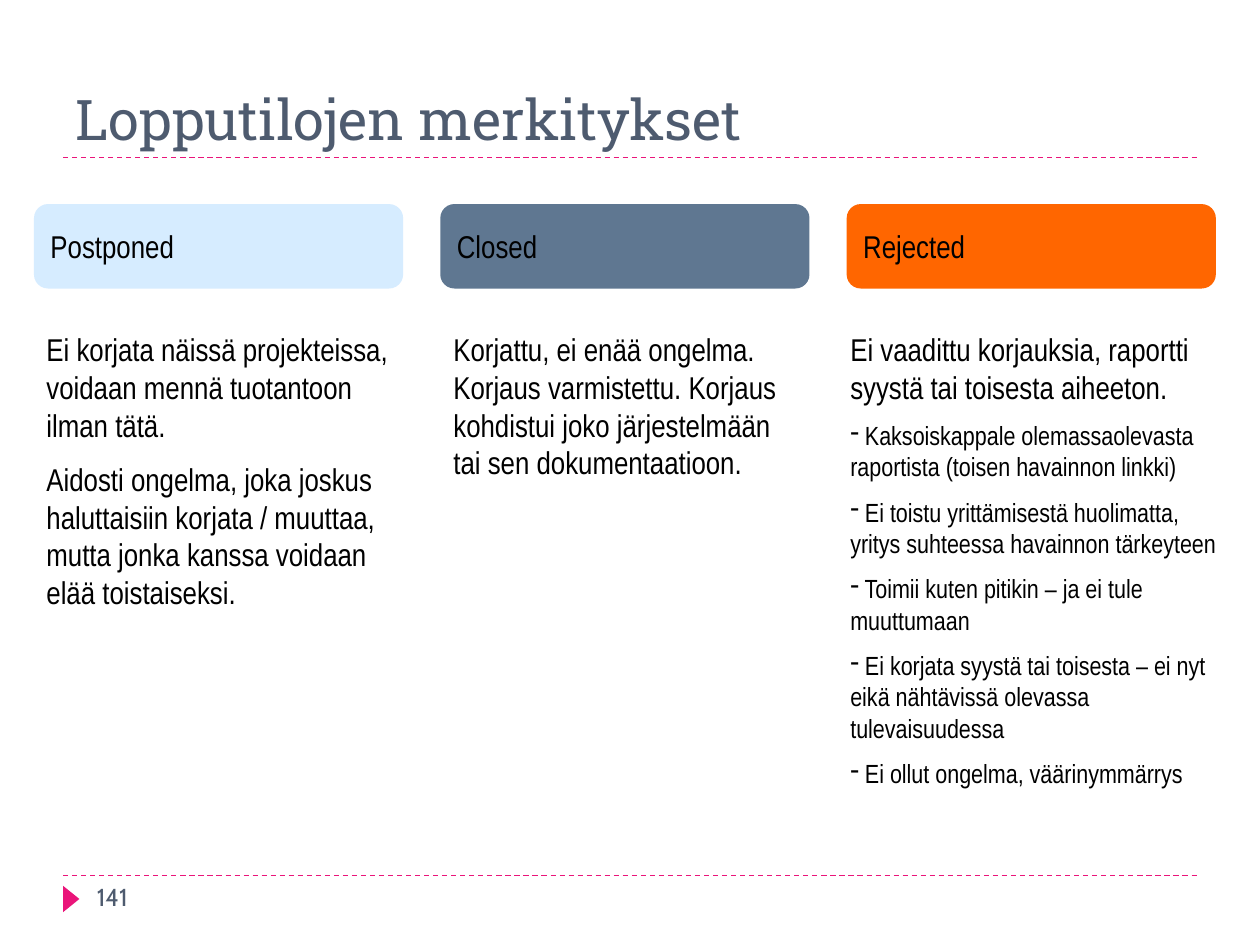
from lxml.etree import SubElement
from pptx import Presentation
from pptx.dml.color import RGBColor
from pptx.enum.dml import MSO_LINE
from pptx.enum.shapes import MSO_CONNECTOR, MSO_SHAPE
from pptx.enum.text import MSO_ANCHOR, PP_ALIGN
from pptx.oxml.ns import qn
from pptx.util import Inches, Pt

PINK = RGBColor(0xEA, 0x15, 0x7A)
SLATE = RGBColor(0x4E, 0x5B, 0x6F)
BLACK = RGBColor(0, 0, 0)
PALE_BLUE = RGBColor(0xD6, 0xEC, 0xFF)
STEEL = RGBColor(0x5F, 0x77, 0x91)
ORANGE = RGBColor(0xFF, 0x66, 0x00)

TITLE = {"name": "Roboto Slab", "size": Pt(32)}
NUMBER = {"name": "Cabin", "size": Pt(14)}
BODY = {"name": "Arial Narrow", "size": Pt(18)}
ITEM = {"name": "Arial Narrow", "size": Pt(15)}

LEFT, PITCH = 0.27, 3.225
STATES = [
    ("Postponed", PALE_BLUE, (LEFT, 2.91, 2.35), [
        "Ei korjata näissä projekteissa, voidaan mennä tuotantoon ilman tätä.",
        "Aidosti ongelma, joka joskus haluttaisiin korjata / muuttaa, "
        "mutta jonka kanssa voidaan elää toistaiseksi."], []),
    ("Closed", STEEL, (3.5, 2.91, 1.3), [
        "Korjattu, ei enää ongelma. Korjaus varmistettu. Korjaus kohdistui "
        "joko järjestelmään tai sen dokumentaatioon."], []),
    ("Rejected", ORANGE, (6.65, 3.15, 3.83), [
        "Ei vaadittu korjauksia, raportti syystä tai toisesta aiheeton."], [
        " Kaksoiskappale olemassaolevasta raportista (toisen havainnon linkki)",
        " Ei toistu yrittämisestä huolimatta, yritys suhteessa havainnon tärkeyteen",
        " Toimii kuten pitikin – ja ei tule muuttumaan",
        " Ei korjata syystä tai toisesta – ei nyt eikä nähtävissä olevassa tulevaisuudessa",
        " Ei ollut ongelma, väärinymmärrys"]),
]


def add_run(p, text, style, color):
    """Append a run with the given font values."""
    r = p.add_run()
    r.text = text
    for key, value in style.items():
        setattr(r.font, key, value)
    r.font.color.rgb = color


def add_text(s, box, paragraphs, color=BLACK, anchor=MSO_ANCHOR.TOP):
    """Add a text box from (text, style, bullet) paragraphs."""
    tf = s.shapes.add_textbox(*map(Inches, box)).text_frame
    tf.word_wrap = True
    tf.vertical_anchor = anchor
    for i, (text, style, bullet) in enumerate(paragraphs):
        p = tf.add_paragraph() if i else tf.paragraphs[0]
        if bullet:
            SubElement(p._p.get_or_add_pPr(), qn("a:buChar"), char=bullet)
        if i:
            p.space_before = Pt(style["size"].pt * 0.52)
        add_run(p, text, style, color)


def add_shape(s, kind, box, fill):
    """Add a flat filled shape without outline."""
    sp = s.shapes.add_shape(kind, *map(Inches, box))
    sp.shadow.inherit = False
    sp.fill.solid()
    sp.fill.fore_color.rgb = fill
    sp.line.fill.background()
    return sp


def add_header(s, left, text, fill):
    """Add a rounded column header."""
    sp = add_shape(s, MSO_SHAPE.ROUNDED_RECTANGLE, (left, 1.62, 2.93, 0.67), fill)
    sp.text_frame.word_wrap = True
    sp.text_frame.vertical_anchor = MSO_ANCHOR.MIDDLE
    p = sp.text_frame.paragraphs[0]
    p.alignment = PP_ALIGN.LEFT
    add_run(p, text, BODY, BLACK)


def add_rule(s, y):
    """Add a dashed horizontal rule."""
    line = s.shapes.add_connector(MSO_CONNECTOR.STRAIGHT, *map(Inches, (0.5, y, 9.5, y)))
    line.line.color.rgb = PINK
    line.line.width = Pt(0.75)
    line.line.dash_style = MSO_LINE.DASH
    SubElement(line._element.spPr, qn("a:effectLst"))


def main():
    """Build and save the slide."""
    prs = Presentation()
    prs.slide_width, prs.slide_height = Inches(10), Inches(7.5)
    s = prs.slides.add_slide(prs.slide_layouts[6])
    for y in (6.95, 1.25):
        add_rule(s, y)
    marker = add_shape(s, MSO_SHAPE.ISOSCELES_TRIANGLE, (0.46, 7.07, 0.21, 0.13), PINK)
    marker.rotation = 90
    add_text(s, (0.5, 0.25, 9, 1), [("Lopputilojen merkitykset", TITLE, None)],
             SLATE, MSO_ANCHOR.BOTTOM)
    for i, (name, fill, (left, width, height), texts, items) in enumerate(STATES):
        add_header(s, LEFT + i * PITCH, name, fill)
        paragraphs = [(t, BODY, None) for t in texts] + [(t, ITEM, "-") for t in items]
        add_text(s, (left, 2.57, width, height), paragraphs)
    add_text(s, (0.67, 6.95, 2.17, 0.4), [("141", NUMBER, None)], SLATE)
    prs.save("out.pptx")


if __name__ == "__main__":
    main()
